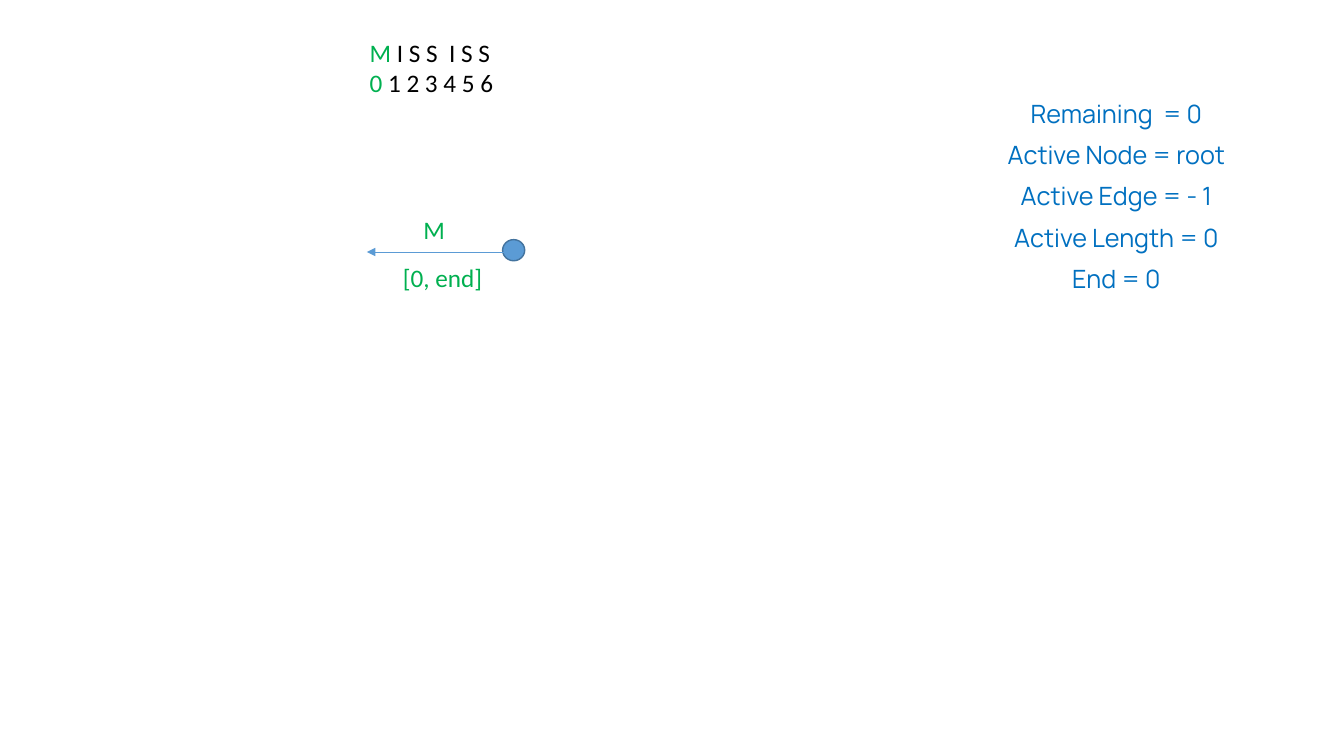
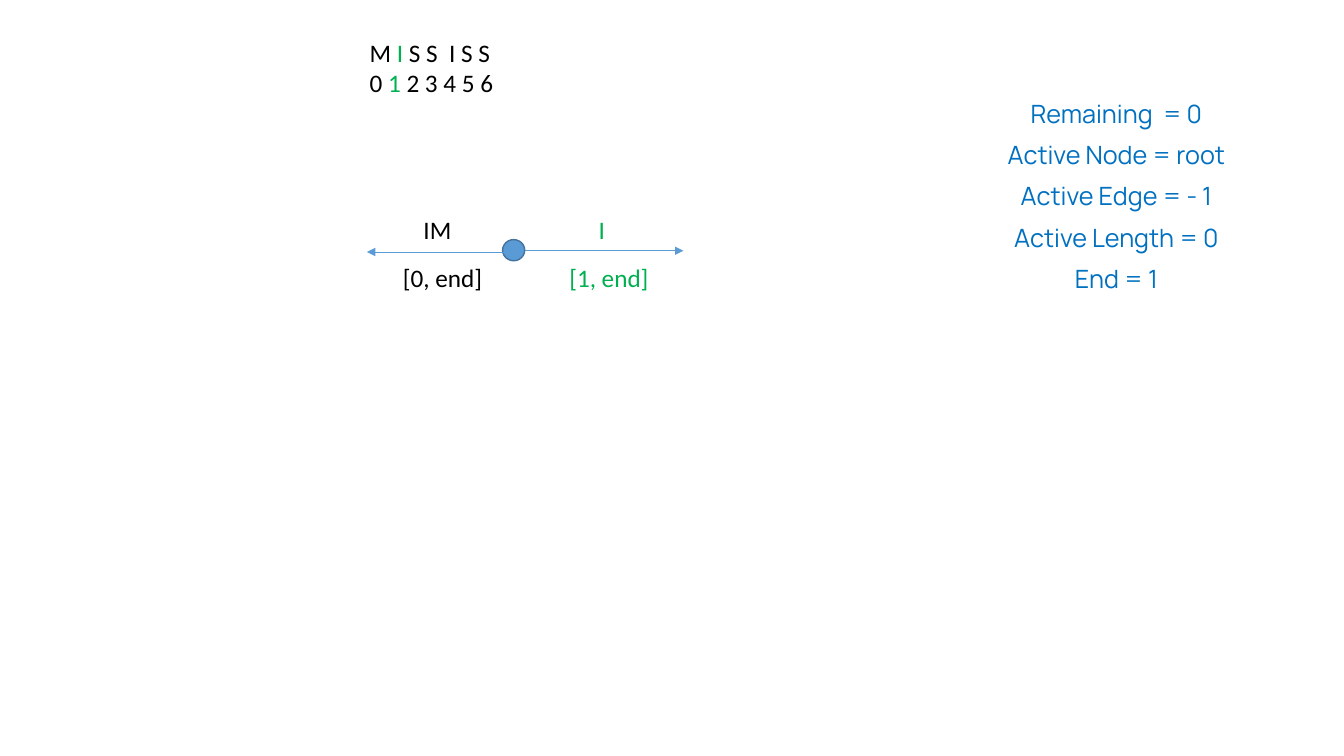
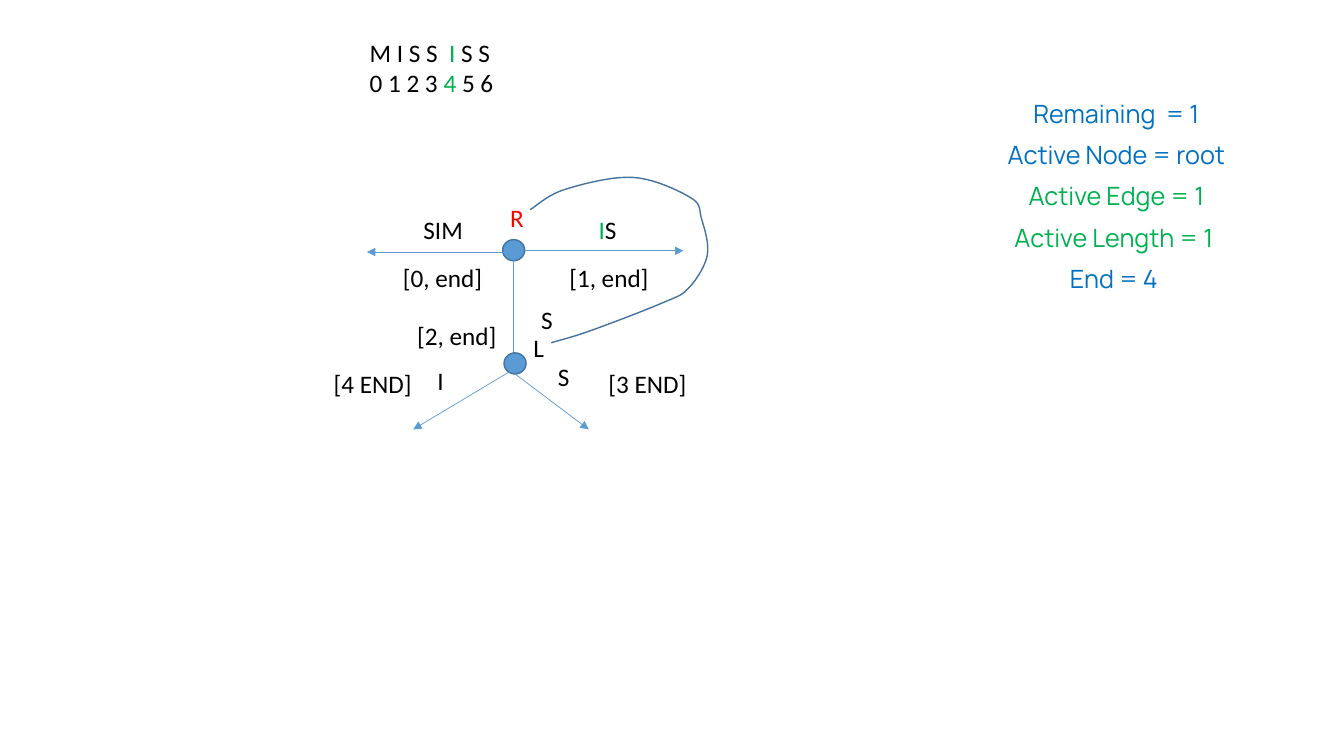
from lxml import etree
from pptx import Presentation
from pptx import util as u
from pptx.dml.color import RGBColor
from pptx.enum import shapes, text
from pptx.oxml import ns

COLORS = {
    "black": "000000", "green": "00B050", "blue": "0070C0", "red": "FF0000",
    "node": "5B9BD5", "outline": "43739E",
}
LETTERS = "M I S S  I S S  "
POSITIONS = "0 1 2 3 4 5 6 "

# Label size: Calibri glyph widths in em, plus the side insets of the box.
LABEL_SIZE = 18
LABEL_HEIGHT = 29
LABEL_INSETS = 14.9
GLYPH_EM = {"M": 0.86, "I": 0.25, "S": 0.46, "R": 0.54, "L": 0.42, "[": 0.31, "]": 0.31,
            ",": 0.25, " ": 0.23, "e": 0.5, "n": 0.53, "d": 0.53,
            "E": 0.49, "N": 0.65, "D": 0.62}
DIGIT_EM = 0.51

# Node centres; each edge is (node, offset of its start from the centre, tip).
NODE_WIDTH, NODE_HEIGHT = 15.8, 15.1
NODES = {"root": (366.9, 178.7), "inner": (367.9, 259.6)}
EDGES = {
    "left": ("root", (4, 1.3), (262.1, 180)),
    "right": ("root", (8, 0.4), (488.2, 179.1)),
    "down": ("root", (0, 7), (366.9, 260)),
    "lower left": ("inner", (4.3, 1), (295.2, 306.7)),
    "lower right": ("inner", (0, 7.5), (420.5, 306.7)),
}

# Label rows and the left sides of the labels on the two upper edges.
LETTER_TOP, RANGE_TOP, LEAF_TOP = 149.8, 183.9, 259.2
UPPER_LABELS = {"left": (295.4, 280.8), "right": (420.5, 399.6)}
LOWER_LABELS = [
    ("S", 379.4, 213.8), ("[2, end]", 290.9, 225.4), ("L", 373.9, 234),
    ("I", 305.3, 257.4), ("S", 391.5, 254.6),
    ("[4 END]", 231.3, LEAF_TOP), ("[3 END]", 427.5, LEAF_TOP),
]

# The suffix link runs from R over the right edge and back to L.
LINK_FROM_R = [(378.7, 149.8), (403.2, 135.4), (452.2, 126.7)]
LINK_RIGHT_SIDE = [(493.2, 141.1), (501.1, 156.2), (505.2, 182.2)]
LINK_TO_L = [(491.8, 205.9), (472.3, 216.7), (421.9, 236.2), (393.8, 244.8)]

# One entry per step of the algorithm; upper edges hold (letter runs, range colour).
STEPS = [
    {"index": 0, "state": ("0", "- 1", "0", "0"), "changed": "blue",
     "edges": {"left": ([("M", "green")], "green")}},
    {"index": 1, "state": ("0", "- 1", "0", "1"), "changed": "blue",
     "edges": {"left": ([("IM", "black")], "black"),
               "right": ([("I", "green")], "green")}},
    {"index": 4, "state": ("1", "1", "1 ", "4 "), "changed": "green", "split": True,
     "edges": {"left": ([("SIM", "black")], "black"),
               "right": ([("I", "green"), ("S", "black")], "black")}},
]


def rgb(name):
    """Return the named colour."""
    return RGBColor.from_string(COLORS[name])


def label_width(content):
    """Return the width of a label box that fits its text."""
    ems = sum(GLYPH_EM.get(glyph, DIGIT_EM) for glyph in content)
    return round(ems * LABEL_SIZE + LABEL_INSETS, 1)


def highlight(line, index):
    """Split a line into runs, with its symbol at the index in green."""
    position = [i for i, symbol in enumerate(line) if symbol != " "][index]
    runs = [(line[:position], "black"), (line[position], "green"),
            (line[position + 1:], "black")]
    return [run for run in runs if run[0]]


def smooth_path(waypoints, steps=10):
    """Return points of a Catmull-Rom curve through all waypoints."""
    padded = [waypoints[0], *waypoints, waypoints[-1]]
    points = [waypoints[0]]
    for before, start, end, after in zip(padded, padded[1:], padded[2:], padded[3:]):
        for step in range(1, steps + 1):
            t = step / steps
            points.append(tuple(
                b + ((c - a) * t + (2 * a - 5 * b + 4 * c - d) * t ** 2
                     + (3 * b - a - 3 * c + d) * t ** 3) / 2
                for a, b, c, d in zip(before, start, end, after)))
    return points


class TreeDeck:
    """Draws suffix tree diagrams on the current slide."""

    def __init__(self):
        """Start an empty widescreen presentation."""
        self.presentation = Presentation()
        self.presentation.slide_width = u.Pt(960)
        self.presentation.slide_height = u.Pt(540)
        self.slide = None

    def add_slide(self):
        """Make a new blank slide the current one."""
        self.slide = self.presentation.slides.add_slide(self.presentation.slide_layouts[6])

    def text(self, lines, left, top, width, height=LABEL_HEIGHT, font="Calibri",
             size=LABEL_SIZE, align=None, wrap=False, spacing=None, gap=0):
        """Add a text box from lines, each a list of (text, colour) runs."""
        box = self.slide.shapes.add_textbox(*map(u.Pt, (left, top, width, height)))
        frame = box.text_frame
        frame.word_wrap = wrap
        frame.auto_size = text.MSO_AUTO_SIZE.SHAPE_TO_FIT_TEXT
        for number, runs in enumerate(lines):
            paragraph = frame.add_paragraph() if number else frame.paragraphs[0]
            paragraph.alignment = align
            if spacing:
                paragraph.line_spacing = u.Pt(spacing)
            if number and gap:
                paragraph.space_before = u.Pt(gap)
            for content, color in runs:
                run = paragraph.add_run()
                run.text = content
                run.font.name = font
                run.font.size = u.Pt(size)
                run.font.color.rgb = rgb(color)

    def label(self, runs, left, top):
        """Add a one-line label as wide as its text."""
        content = "".join(part for part, color in runs)
        self.text([runs], left, top, label_width(content))

    def outline(self, shape):
        """Give a shape the common outline and no shadow."""
        shape.shadow.inherit = False
        shape.line.color.rgb = rgb("outline")
        shape.line.width = u.Pt(1)

    def node(self, name):
        """Add a tree node around its centre."""
        x, y = NODES[name]
        shape = self.slide.shapes.add_shape(
            shapes.MSO_SHAPE.OVAL, u.Pt(x - NODE_WIDTH / 2), u.Pt(y - NODE_HEIGHT / 2),
            u.Pt(NODE_WIDTH), u.Pt(NODE_HEIGHT))
        shape.fill.solid()
        shape.fill.fore_color.rgb = rgb("node")
        self.outline(shape)

    def edge(self, name):
        """Add an arrow from a node to the tip of the named edge."""
        node, offset, tip = EDGES[name]
        start = [center + shift for center, shift in zip(NODES[node], offset)]
        edge = self.slide.shapes.add_connector(
            shapes.MSO_CONNECTOR.STRAIGHT, *map(u.Pt, (*start, *tip)))
        edge.line.color.rgb = rgb("node")
        edge.line.width = u.Pt(0.5)
        etree.SubElement(edge.line._get_or_add_ln(), ns.qn("a:tailEnd"), type="triangle")
        etree.SubElement(edge._element.spPr, ns.qn("a:effectLst"))

    def curve(self, waypoints):
        """Add a smooth open curve through the waypoints."""
        units = 100
        points = [(units * x, units * y) for x, y in smooth_path(waypoints)]
        builder = self.slide.shapes.build_freeform(*points[0], scale=u.Pt(1) / units)
        builder.add_line_segments(points[1:], close=False)
        shape = builder.convert_to_shape()
        shape.fill.background()
        self.outline(shape)

    def sequence(self, index):
        """Add the string over its positions, with one column in green."""
        self.text([highlight(line, index) for line in (LETTERS, POSITIONS)],
                  257, 23, 110.2, 51)

    def status(self, state, changed):
        """Add the panel with the state of the algorithm."""
        remaining, edge, length, end = state
        lines = [(f"Remaining  = {remaining}", "blue"), ("Active Node = root", "blue"),
                 (f"Active Edge = {edge}", changed), (f"Active Length = {length}", changed),
                 (f"End = {end}", "blue")]
        self.text([[line] for line in lines], 648, 73.6, 298.8, 143.3, font="Manrope",
                  align=text.PP_ALIGN.CENTER, wrap=True, spacing=14.7, gap=14.7)

    def upper_tree(self, edges):
        """Add the root and its labelled edges to the sides."""
        self.node("root")
        for start, (name, (letters, color)) in enumerate(edges.items()):
            letters_left, range_left = UPPER_LABELS[name]
            self.edge(name)
            self.label(letters, letters_left, LETTER_TOP)
            self.label([(f"[{start}, end]", color)], range_left, RANGE_TOP)

    def lower_tree(self):
        """Add the inner node with its leaves, and its suffix link to the root."""
        self.edge("down")
        self.node("inner")
        for name in ("lower left", "lower right"):
            self.edge(name)
        for content, left, top in LOWER_LABELS:
            self.label([(content, "black")], left, top)
        self.label([("R", "red")], 357.3, 141.1)
        self.curve(LINK_FROM_R + LINK_RIGHT_SIDE + LINK_TO_L)


deck = TreeDeck()
for step in STEPS:
    deck.add_slide()
    deck.sequence(step["index"])
    deck.status(step["state"], step["changed"])
    deck.upper_tree(step["edges"])
    if step.get("split"):
        deck.lower_tree()
deck.presentation.save("out.pptx")
